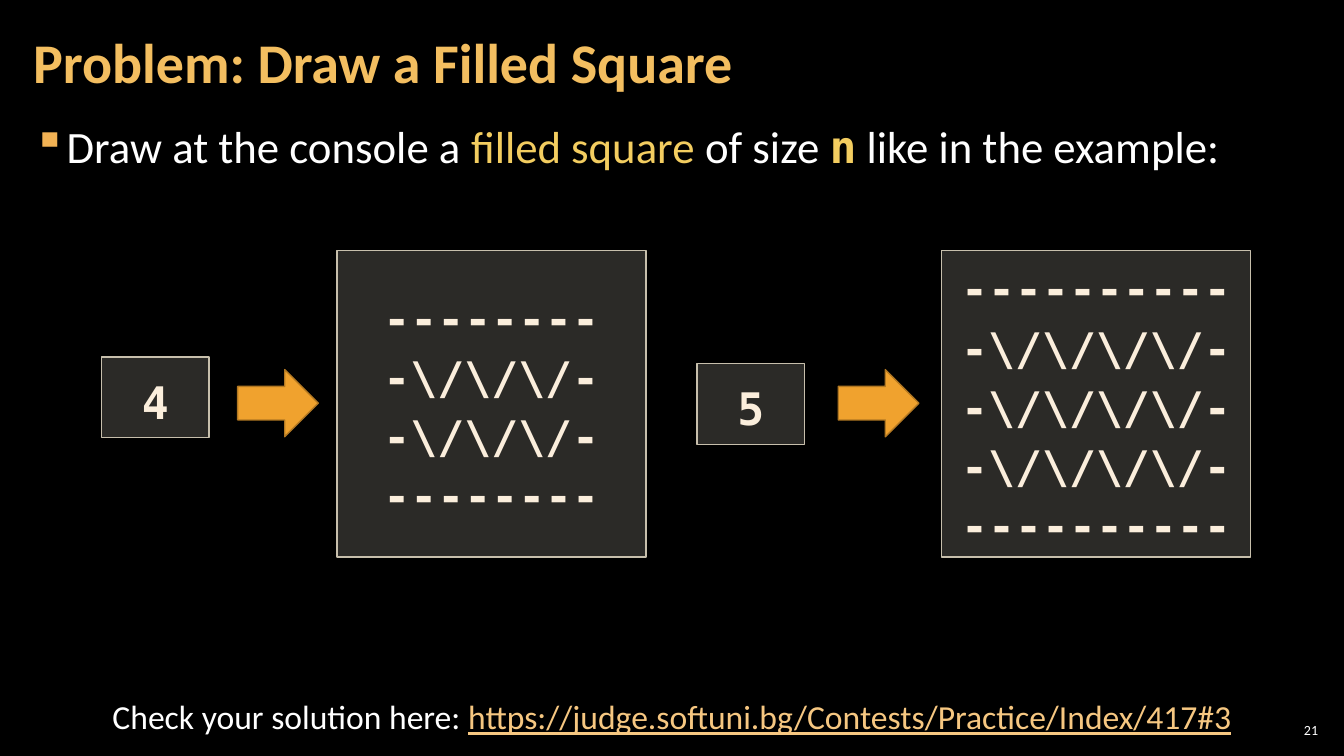
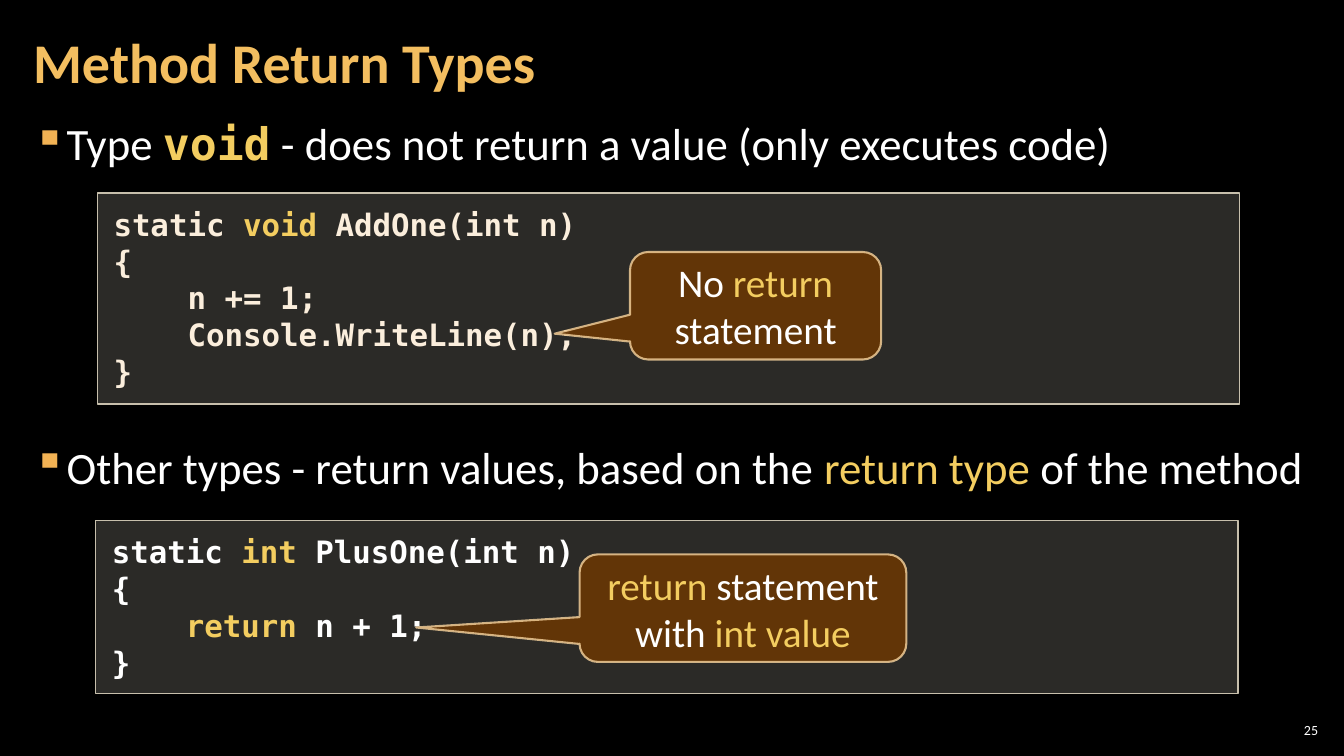
from lxml.etree import SubElement
from pptx import Presentation
from pptx.dml.color import RGBColor
from pptx.enum.shapes import MSO_SHAPE as Kind
from pptx.enum.text import MSO_ANCHOR as Anchor, PP_ALIGN as Align
from pptx.oxml.ns import qn
from pptx.util import Inches, Pt

COLS, ROWS = 160, 90
UNIT = Inches(1) / 12

BLACK = RGBColor(0x00, 0x00, 0x00)
WHITE = RGBColor(0xFF, 0xFF, 0xFF)
GOLD = RGBColor(0xF3, 0xBE, 0x60)
ACCENT = RGBColor(0xF3, 0xCD, 0x60)
LINK = RGBColor(0xF6, 0xC7, 0x81)
BULLET = RGBColor(0xF2, 0xB2, 0x54)
CREAM = RGBColor(0xFB, 0xEE, 0xDC)
PANEL = RGBColor(0xD9, 0xD5, 0xC7)
EDGE = RGBColor(0xC7, 0xBF, 0xAC)
ORANGE = RGBColor(0xF0, 0xA2, 0x2E)
RUST = RGBColor(0xB2, 0x78, 0x22)
BROWN = RGBColor(0x66, 0x36, 0x06)
SAND = RGBColor(0xF8, 0xD4, 0x9E)

SANS, MONO = "Calibri", "DejaVu Sans Mono"
MARKS = {
    "*": dict(color=ACCENT),
    "`": dict(color=ACCENT, name=MONO, bold=True),
    "_": dict(color=LINK, underline=True),
}


def span(count):
    return round(count * UNIT)


def style(font, color, **traits):
    font.color.rgb = color
    for trait, value in traits.items():
        setattr(font, trait, value)


def mark(para):
    props = para._p.get_or_add_pPr()
    props.set("marL", str(span(4)))
    props.set("indent", str(-span(4)))
    tint = SubElement(SubElement(props, qn("a:buClr")), qn("a:srgbClr"))
    tint.set("val", str(BULLET))
    SubElement(props, qn("a:buChar")).set("char", "▪")


def write(shape, text, size, color=WHITE, font=SANS, bold=False, align=Align.LEFT,
          anchor=Anchor.TOP, pad=(0.1, 0.05), lead=None, bullet=False):
    frame = shape.text_frame
    frame.word_wrap = True
    frame.vertical_anchor = anchor
    frame.margin_left = frame.margin_right = Inches(pad[0])
    frame.margin_top = frame.margin_bottom = Inches(pad[1])
    for row, line in enumerate(text.split("\n")):
        para = frame.paragraphs[0] if row == 0 else frame.add_paragraph()
        para.alignment = align
        if lead:
            para.line_spacing = lead
        if bullet:
            mark(para)
        for spot, part in enumerate(line.split("|")):
            if not part:
                continue
            look = dict(color=color, name=font, bold=bold, size=Pt(size))
            if spot % 2:
                look.update(MARKS[part[0]])
                part = part[1:]
            run = para.add_run()
            run.text = part
            style(run.font, **look)


class Deck:
    def __init__(self):
        self.file = Presentation()
        self.file.slide_width = span(COLS)
        self.file.slide_height = span(ROWS)
        back = self.file.slide_master.background.fill
        back.solid()
        back.fore_color.rgb = BLACK

    def start(self, title, number):
        self.slide = self.file.slides.add_slide(self.file.slide_layouts[6])
        self.text((151.8, 85.7, 5.6, 2.5), str(number), 10, align=Align.RIGHT,
                  anchor=Anchor.MIDDLE, pad=(0.04, 0.04))
        self.text((2.5, 0.5, 125.6, 14.5), title, 40, color=GOLD, bold=True,
                  anchor=Anchor.MIDDLE, pad=(0.12, 0.04), lead=0.9)

    def text(self, area, text, size, **look):
        box = self.slide.shapes.add_textbox(*map(span, area))
        write(box, text, size, **look)

    def point(self, row, text):
        self.text((2.5, row, 155, 7.5), text, 32, pad=(0.12, 0.04),
                  lead=1.05, bullet=True)

    def shape(self, kind, area, fill, edge, width=1, fades=()):
        shape = self.slide.shapes.add_shape(kind, *map(span, area))
        shape.shadow.inherit = False
        shape.fill.solid()
        shape.fill.fore_color.rgb = fill
        shape.line.color.rgb = edge
        shape.line.width = Pt(width)
        for tint, share in zip(shape.element.spPr.iter(qn("a:srgbClr")), fades):
            SubElement(tint, qn("a:alpha")).set("val", str(share * 1000))
        return shape

    def panel(self, area, text, size, color=CREAM, **look):
        shape = self.shape(Kind.RECTANGLE, area, PANEL, EDGE, fades=(20,))
        write(shape, text, size, color=color, font=MONO, bold=True, **look)

    def code(self, area, text, color=CREAM):
        self.panel(area, text, 22, color, pad=(0.16, 0.12))

    def arrow(self, col, row):
        self.shape(Kind.RIGHT_ARROW, (col, row, 9.6, 8), ORANGE, RUST)

    def note(self, area, tip, text):
        shape = self.shape(Kind.ROUNDED_RECTANGULAR_CALLOUT, area, BROWN, SAND,
                           1.5, (95, 80))
        for spot, value in enumerate((*tip, 0.17)):
            shape.adjustments[spot] = value
        write(shape, text, 28, align=Align.CENTER, anchor=Anchor.MIDDLE)

    def sample(self, size, cols, row):
        left, mid, right = cols
        edge = "--" * size
        body = "-" + "\\/" * (size - 1) + "-"
        art = "\n".join([edge] + [body] * (size - 2) + [edge])
        look = dict(align=Align.CENTER, lead=1.1)
        self.panel((left, row, 12.8, 9.6), str(size), 32, pad=(0.2, 0.12), **look)
        self.panel((right, 29.8, 36.8, 36.5), art, 32, anchor=Anchor.MIDDLE,
                   pad=(0.12, 0.04), **look)
        self.arrow(mid, 44)


def main():
    deck = Deck()

    deck.start("Problem: Draw а Filled Square", 21)
    deck.point(13.3, "Draw at the console a |*filled square |of size |`n| like in the example:")
    deck.sample(4, (12.1, 28.3, 40.1), 42.5)
    deck.sample(5, (83, 99.8, 112.1), 43.3)
    deck.text((8.2, 82.3, 143.6, 6), "Check your solution here: "
              "|_https://judge.softuni.bg/Contests/Practice/Index/417#3|",
              24, align=Align.CENTER)

    deck.start("Method Return Types", 25)
    deck.point(13, "Type |`void| - does not return a value (only executes code)")
    deck.point(51.5, "Other types - return values, based on the |*return type| of the method")
    deck.code((11.6, 23, 136, 25.1), """static |*void| AddOne(int n)
{
    n += 1;
    Console.WriteLine(n);
}""")
    deck.code((11.4, 62, 136, 20.6), """static |*int| PlusOne(int n)
{
    |*return| n + 1;
}""", WHITE)
    deck.note((75, 30, 29.9, 12.8), (-0.8, 0.26), "No |*return| statement")
    deck.note((69, 66, 38.9, 12.8), (-1, 0.18), "|*return| statement with |*int value|")

    deck.file.save("out.pptx")


if __name__ == "__main__":
    main()
